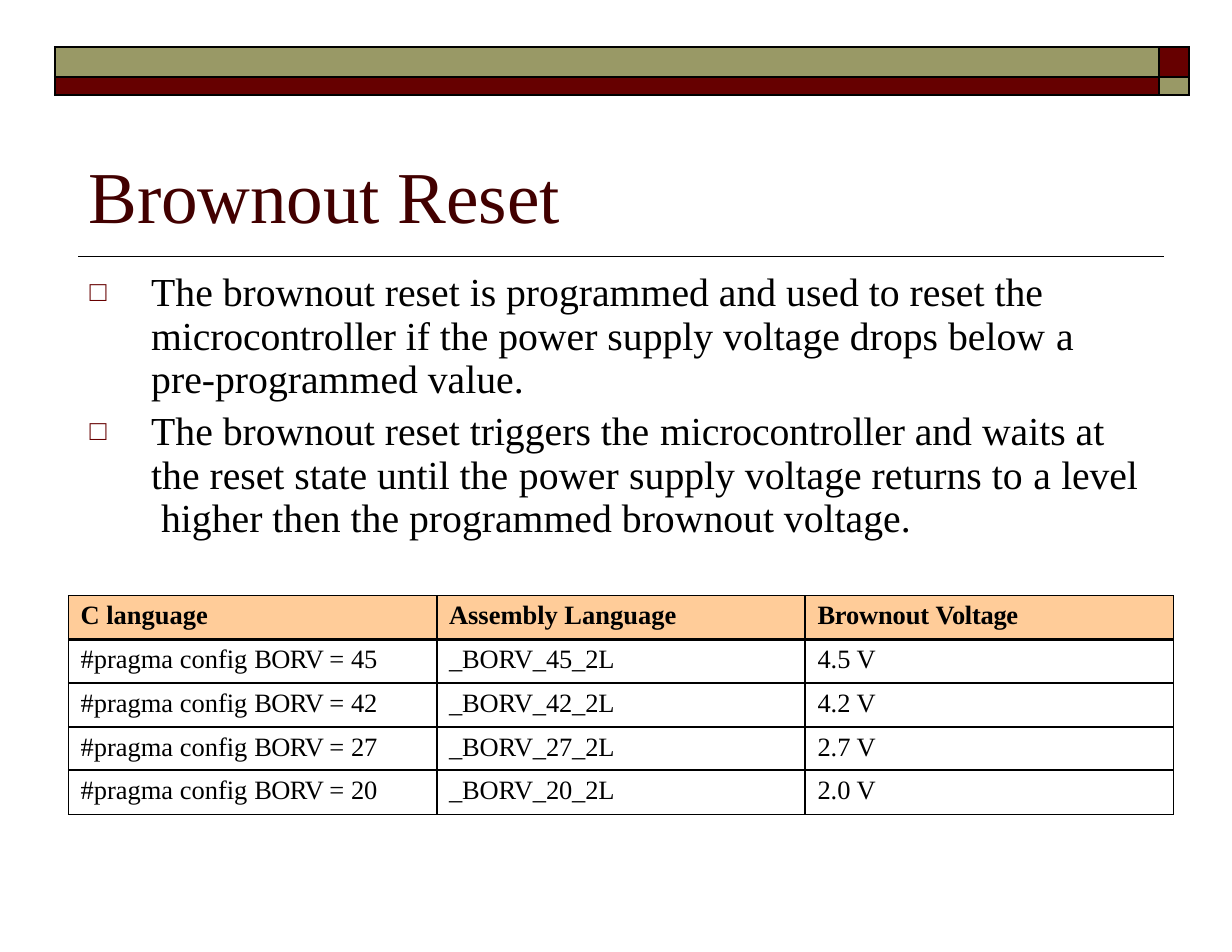
import pptx
import pptx.dml.color
import pptx.enum.shapes
import pptx.enum.text
import pptx.oxml
import pptx.oxml.ns
import pptx.util
from lxml import etree

Inches = pptx.util.Inches
Pt = pptx.util.Pt
qn = pptx.oxml.ns.qn

BLACK, OLIVE, MAROON, PEACH = "000000", "999966", "660000", "FFCC99"
TITLE = {"size": Pt(47), "name": "Times New Roman", "color": "420000"}
BODY = {"size": Pt(25.5), "name": "Times New Roman", "color": BLACK}
CELL = {"size": Pt(17), "name": "Times New Roman", "color": BLACK, "bold": False}
HEADER = {**CELL, "bold": True}

# Each span is its text and its letter spacing in points
BULLETS = [
    [("The brownout reset is programmed and used to reset the  ", 0),
     ("microcontroller ", -0.1),
     ("if the power supply voltage drops below ", 0),
     ("a  ", 0.1), ("pre-programmed value.", 0)],
    [("The brownout reset triggers the ", 0), ("microcontroller ", -0.1),
     ("and waits at  the reset state until the ", 0), ("power ", 0.1),
     ("supply voltage returns to ", 0), ("a ", 0.1), ("level  ", -0.1),
     ("higher then the programmed brownout voltage.", 0)],
]
HEADINGS = [
    [("C language", 0)],
    [("Assembly Language", 0)],
    [("Brownout ", -0.1), ("Voltage", -0.2)],
]
VOLTAGES = {"45": "4.5 V", "42": "4.2 V", "27": "2.7 V", "20": "2.0 V"}


def color(hex_value):
    return pptx.dml.color.RGBColor.from_string(hex_value)


def write_spans(para, spans, style):
    for text, spacing in spans:
        span = para.add_run()
        span.text = text
        for key, value in style.items():
            if key == "color":
                span.font.color.rgb = color(value)
            else:
                setattr(span.font, key, value)
        if spacing:
            span.font._element.set("spc", str(round(spacing * 100)))


def place_box(box, left, top, width, height, margin_top):
    box.left, box.top = Inches(left), Inches(top)
    box.width, box.height = Inches(width), Inches(height)
    settings = {
        "margin_left": 0, "margin_right": 0, "margin_bottom": 0,
        "margin_top": Inches(margin_top), "word_wrap": True,
        "vertical_anchor": pptx.enum.text.MSO_ANCHOR.TOP,
        "auto_size": pptx.enum.text.MSO_AUTO_SIZE.NONE,
    }
    for key, value in settings.items():
        setattr(box.text_frame, key, value)


def set_bullet(para):
    properties = para._p.get_or_add_pPr()
    properties.set("marL", str(Inches(0.56)))
    properties.set("indent", str(Inches(-0.55)))
    tint = etree.SubElement(properties, qn("a:buClr"))
    etree.SubElement(tint, qn("a:srgbClr"), val=MAROON)
    etree.SubElement(properties, qn("a:buSzPct"), val="71000")
    etree.SubElement(properties, qn("a:buFont"), typeface="Times New Roman")
    etree.SubElement(properties, qn("a:buChar"), char="□")


def add_title(page):
    box = page.shapes.title
    place_box(box, 0.79, 1.33, 4.25, 0.81, 0.01)
    para = box.text_frame.paragraphs[0]
    para.alignment = pptx.enum.text.PP_ALIGN.LEFT
    para.line_spacing = 1.0
    para.space_before = Pt(1)
    write_spans(para, [("Brownout Reset", -0.1)], TITLE)


def add_bullets(page):
    box = page.placeholders[1]
    place_box(box, 0.79, 2.37, 9.38, 2.46, 0.06)
    frame = box.text_frame
    for index, spans in enumerate(BULLETS):
        para = frame.add_paragraph() if index else frame.paragraphs[0]
        para.line_spacing = 0.91
        para.space_before = Pt(5.8 if index else 4)
        set_bullet(para)
        write_spans(para, spans, BODY)


def add_rule(page):
    rule = page.shapes.add_connector(
        pptx.enum.shapes.MSO_CONNECTOR.STRAIGHT,
        Inches(10.39), Inches(2.29), Inches(0.7), Inches(2.29))
    rule.line.color.rgb = color(BLACK)
    rule.line.width = Pt(1.07)
    etree.SubElement(rule._element.spPr, qn("a:effectLst"))


def set_borders(cell, widths):
    properties = cell._tc.get_or_add_tcPr()
    for index, (side, width) in enumerate(widths.items()):
        line = etree.Element(qn("a:ln" + side), w=str(Pt(width)))
        fill = etree.SubElement(line, qn("a:solidFill"))
        etree.SubElement(fill, qn("a:srgbClr"), val=BLACK)
        properties.insert(index, line)


def add_grid(page, left, top, widths, heights):
    frame = page.shapes.add_table(
        len(heights), len(widths), Inches(left), Inches(top),
        Inches(sum(widths)), Inches(sum(heights)))
    table = frame.table
    table.first_row = table.horz_banding = False
    for column, width in zip(table.columns, widths):
        column.width = Inches(width)
    for row, height in zip(table.rows, heights):
        row.height = Inches(height)
    return table


def format_cell(cell, fill, borders, margin_top=0):
    cell.margin_left = cell.margin_right = cell.margin_bottom = 0
    cell.margin_top = Inches(margin_top)
    if fill:
        cell.fill.solid()
        cell.fill.fore_color.rgb = color(fill)
    else:
        cell.fill.background()
    set_borders(cell, borders)


def add_banner(page):
    table = add_grid(page, 0.49, 0.42, [9.86, 0.27], [0.27, 0.16])
    for row in range(2):
        for column in range(2):
            cell = table.cell(row, column)
            fill = OLIVE if row == column else MAROON
            format_cell(cell, fill, dict.fromkeys("LRTB", 1.5))
            # Small empty text lets the thin rows keep their height
            para = cell.text_frame.paragraphs[0]
            etree.SubElement(para._p, qn("a:endParaRPr"), sz="100")


def add_voltage_table(page):
    rows = [HEADINGS]
    for code, voltage in VOLTAGES.items():
        rows.append([
            [("#pragma config ", 0), ("BORV ", -0.4), ("= " + code, 0)],
            [(f"_BORV_{code}_2L", -0.1)],
            [(voltage, 0)],
        ])
    table = add_grid(page, 0.61, 5.32, [3.29] * 3, [0.39] * len(rows))
    for row, contents in enumerate(rows):
        for column, spans in enumerate(contents):
            # Outer edges are thinner than inner ones
            outer = {"L": column == 0, "R": column == 2,
                     "T": row == 0, "B": row == len(rows) - 1}
            borders = {side: 0.75 if edge else 1.5
                       for side, edge in outer.items()}
            cell = table.cell(row, column)
            format_cell(cell, None if row else PEACH, borders,
                        0.05 if row else 0.04)
            para = cell.text_frame.paragraphs[0]
            para.space_before = Pt(3.3)
            para._p.get_or_add_pPr().set("marL", str(Inches(0.11)))
            write_spans(para, spans, CELL if row else HEADER)


def main():
    deck = pptx.Presentation()
    deck.slide_width, deck.slide_height = Inches(11), Inches(8.5)
    page = deck.slides.add_slide(deck.slide_layouts[1])
    add_rule(page)
    add_banner(page)
    add_title(page)
    add_bullets(page)
    add_voltage_table(page)
    deck.save("out.pptx")


if __name__ == "__main__":
    main()
